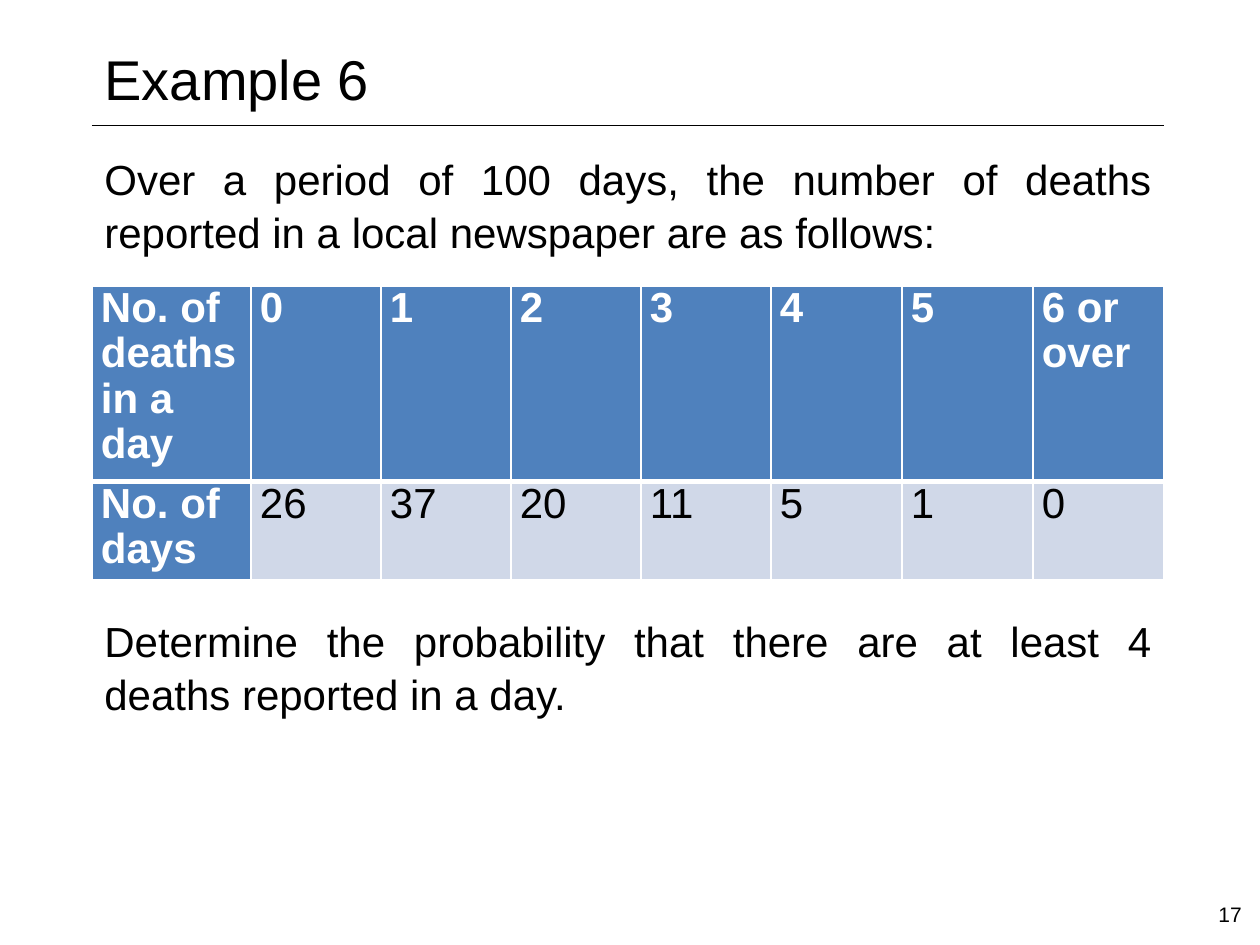
from lxml.etree import SubElement
from pptx import Presentation
from pptx.dml.color import RGBColor
from pptx.enum.shapes import MSO_CONNECTOR as Connector
from pptx.enum.text import MSO_ANCHOR as Anchor, PP_ALIGN as Align
from pptx.oxml import parse_xml
from pptx.oxml.ns import nsdecls, qn
from pptx.util import Inches, Pt

BLACK = RGBColor(0x00, 0x00, 0x00)
WHITE = RGBColor(0xFF, 0xFF, 0xFF)
BLUE = RGBColor(0x4F, 0x81, 0xBD)
PALE_BLUE = RGBColor(0xD0, 0xD8, 0xE8)

LEFT, WIDTH = 92, 1072
DEATHS = ["No. of deaths in a day", "0", "1", "2", "3", "4", "5", "6 or over"]
DAYS = ["No. of days", "26", "37", "20", "11", "5", "1", "0"]


def px(count):
    return round(count * Inches(1) / 126)


class SlideBuilder:
    font_name = "Arial"

    def __init__(self, deck):
        self.slide = deck.slides.add_slide(deck.slide_layouts[5])

    def set_text(self, frame, text, size, color=BLACK, bold=False, align=Align.LEFT, spacing=1.0):
        frame.word_wrap = True
        paragraph = frame.paragraphs[0]
        paragraph.text = text
        paragraph.alignment = align
        paragraph.line_spacing = spacing
        font = paragraph.font
        font.name, font.size, font.bold = self.font_name, Pt(size), bold
        font.color.rgb = color

    def title(self, text, left, top, width, height):
        title = self.slide.shapes.title
        title.left, title.top, title.width, title.height = map(px, (left, top, width, height))
        title.text_frame.vertical_anchor = Anchor.MIDDLE
        self.set_text(title.text_frame, text, 32)

    def rule(self, left, right, y):
        rule = self.slide.shapes.add_connector(
            Connector.STRAIGHT, px(left), px(y), px(right), px(y))
        rule.line.color.rgb = BLACK
        rule.line.width = Pt(0.25)
        SubElement(rule._element.spPr, qn("a:effectLst"))

    def text(self, text, left, top, width, height, size, **style):
        box = self.slide.shapes.add_textbox(*map(px, (left, top, width, height)))
        self.set_text(box.text_frame, text, size, **style)

    def borders(self, cell, **widths):
        properties = cell._tc.get_or_add_tcPr()
        for index, side in enumerate("LRTB"):
            properties.insert(index, parse_xml(
                f'<a:ln{side} {nsdecls("a")} w="{Pt(widths.get(side, 1))}">'
                f'<a:solidFill><a:srgbClr val="{WHITE}"/></a:solidFill></a:ln{side}>'))

    def table(self, rows, left, top, column_widths, row_heights):
        table = self.slide.shapes.add_table(
            len(rows), len(column_widths), px(left), px(top),
            px(sum(column_widths)), px(sum(row_heights))).table
        table.first_col = True
        for column, width in zip(table.columns, column_widths):
            column.width = px(width)
        for r, (values, height) in enumerate(zip(rows, row_heights)):
            table.rows[r].height = px(height)
            for c, value in enumerate(values):
                cell = table.cell(r, c)
                heading = r == 0 or c == 0
                cell.margin_left = cell.margin_right = px(9)
                cell.margin_top = cell.margin_bottom = 0
                cell.fill.solid()
                cell.fill.fore_color.rgb = BLUE if heading else PALE_BLUE
                self.borders(cell, **({"B": 3} if r == 0 else {"T": 3}))
                self.set_text(cell.text_frame, value, 24, WHITE if heading else BLACK,
                              bold=heading, spacing=0.97)


def main():
    deck = Presentation()
    deck.slide_width, deck.slide_height = px(1260), px(945)
    builder = SlideBuilder(deck)
    builder.rule(LEFT, LEFT + WIDTH, 125)
    builder.title("Example 6", LEFT, 36, 856, 84)
    body = {"size": 24, "align": Align.JUSTIFY, "spacing": 1.05}
    builder.text("Over a period of 100 days, the number of deaths reported in a local "
                 "newspaper are as follows:", LEFT, 145, WIDTH, 114, **body)
    builder.text("Determine the probability that there are at least 4 deaths reported "
                 "in a day.", LEFT, 607, WIDTH, 114, **body)
    builder.table([DEATHS, DAYS], LEFT, 286, [159] + [130] * 4 + [131] * 3, [187, 93])
    builder.text("17", 1206, 895, 54, 50, 12)
    deck.save("out.pptx")


if __name__ == "__main__":
    main()
